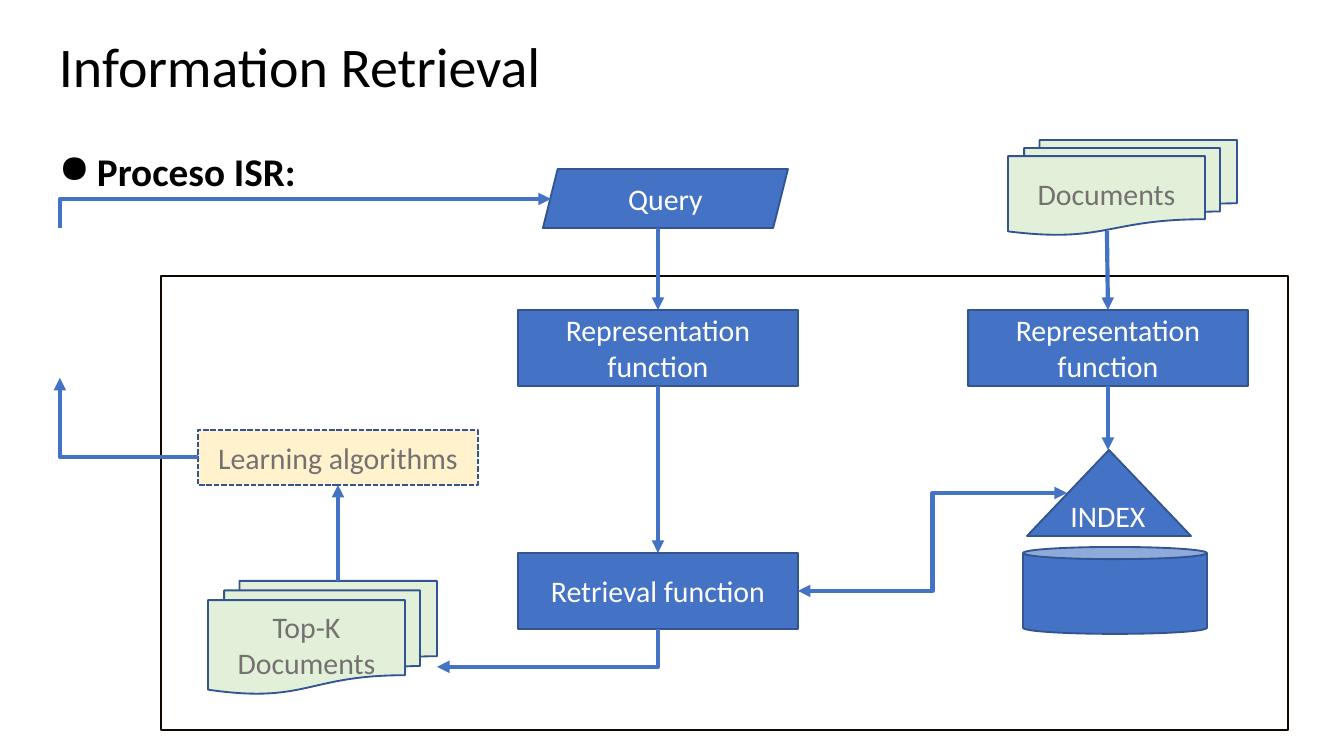
from lxml import etree
from pptx import Presentation
from pptx.dml.color import RGBColor
from pptx.enum.dml import MSO_LINE
from pptx.enum.shapes import MSO_CONNECTOR, MSO_SHAPE
from pptx.enum.text import MSO_ANCHOR, PP_ALIGN
from pptx.oxml.ns import qn
from pptx.util import Pt

PX = 914400 / 134.4
FONT = "Calibri"
BLACK = RGBColor(0x00, 0x00, 0x00)
WHITE = RGBColor(0xFF, 0xFF, 0xFF)
BLUE = RGBColor(0x44, 0x72, 0xC4)
NAVY = RGBColor(0x32, 0x54, 0x91)
GREEN = RGBColor(0xE2, 0xF0, 0xD9)
CREAM = RGBColor(0xFF, 0xF2, 0xCC)
GRAY = RGBColor(0x76, 0x71, 0x71)
FRAME_LINE = RGBColor(0x10, 0x07, 0x00)

RECT = MSO_SHAPE.RECTANGLE
MULTIDOC = MSO_SHAPE.FLOWCHART_MULTIDOCUMENT
STRAIGHT, ELBOW = MSO_CONNECTOR.STRAIGHT, MSO_CONNECTOR.ELBOW
TOP, BOTTOM = 0, 2

TITLE = "Information Retrieval"
SUBTITLE = "Proceso ISR:"

# key: (preset, (left, top, width, height), text, fill, text colour)
NODES = {
    "store": (MSO_SHAPE.CAN, (1023, 547, 184, 87), "", BLUE, WHITE),
    "documents": (MULTIDOC, (1008, 140, 229, 95), "Documents", GREEN, GRAY),
    "index": (MSO_SHAPE.ISOSCELES_TRIANGLE, (1027, 450, 164, 86), "", BLUE, WHITE),
    "top_k": (MULTIDOC, (208, 581, 229, 113), "Top-K\nDocuments", GREEN, GRAY),
    "document_repr": (RECT, (968, 310, 280, 76), "Representation function", BLUE, WHITE),
    "query_repr": (RECT, (518, 310, 280, 76), "Representation function", BLUE, WHITE),
    "retrieval": (RECT, (518, 553, 280, 76), "Retrieval function", BLUE, WHITE),
    "learning": (RECT, (198, 430, 280, 55), "Learning algorithms", CREAM, GRAY),
    "query": (MSO_SHAPE.PARALLELOGRAM, (543, 169, 245, 59), "Query", BLUE, WHITE),
}
INDEX_LABEL = ("INDEX", (1056, 491, 104, 49))
FRAME = (161, 276, 1127, 454)

# Each end is a point or a (node, side) joint
STRAIGHT_ARROWS = [
    (("retrieval", TOP), ("query_repr", BOTTOM)),
    ((1108, 450), ("document_repr", BOTTOM)),
    (("query_repr", TOP), (658, 228)),
    (("learning", BOTTOM), (338, 581)),
    (("document_repr", TOP), (1107, 231)),
]
# begin, end, preset, arrowhead ends; a bentConnector2 runs level first, then upright
ELBOW_ARROWS = [
    ((1067, 493), (798, 591), "bentConnector3", ("headEnd", "tailEnd")),
    ((437, 667), (658, 629), "bentConnector2", ("headEnd",)),
    ((198, 457), (60, 378), "bentConnector2", ("tailEnd",)),
    ((551, 199), (60, 228), "bentConnector2", ("headEnd",)),
]


def px(*values):
    return [round(value * PX) for value in values]


def write(frame, text, size, color, bold=False, align=PP_ALIGN.CENTER):
    frame.text = text
    for paragraph in frame.paragraphs:
        paragraph.alignment = align
        font = paragraph.runs[0].font
        font.name, font.size, font.bold = FONT, Pt(size), bold
        font.color.rgb = color


def add_heading(slide, box, text, size, bold, spacing, anchor):
    frame = slide.shapes.add_textbox(*px(*box)).text_frame
    frame.word_wrap = True
    frame.vertical_anchor = anchor
    inset, = px(13)
    frame.margin_left = frame.margin_right = inset
    frame.margin_top = frame.margin_bottom = inset
    write(frame, text, size, BLACK, bold, PP_ALIGN.LEFT)
    frame.paragraphs[0].line_spacing = spacing
    return frame.paragraphs[0]


def add_bullet(paragraph, indent):
    properties = paragraph._p.get_or_add_pPr()
    properties.set("marL", str(indent))
    properties.set("indent", str(-indent))
    etree.SubElement(properties, qn("a:buChar")).set("char", "●")


def add_node(slide, preset, box, text, fill, color):
    node = slide.shapes.add_shape(preset, *px(*box))
    node.shadow.inherit = False
    node.fill.solid()
    node.fill.fore_color.rgb = fill
    node.line.color.rgb = NAVY
    node.line.width = Pt(1)
    if text:
        node.text_frame.word_wrap = True
        node.text_frame.vertical_anchor = MSO_ANCHOR.MIDDLE
        write(node.text_frame, text, 16, color)
    return node


def add_arrow(slide, kind, begin, end, heads):
    arrow = slide.shapes.add_connector(kind, *px(*begin, *end))
    arrow.line.color.rgb = BLUE
    arrow.line.width = Pt(2.25)
    line = arrow.line._get_or_add_ln()
    for head in heads:
        etree.SubElement(line, qn(f"a:{head}")).set("type", "triangle")
    etree.SubElement(arrow._element.spPr, qn("a:effectLst"))
    return arrow


def end_point(end):
    """Turn a (node, side) joint into the middle of that side."""
    if end[0] not in NODES:
        return end
    left, top, width, height = NODES[end[0]][1]
    return left + width / 2, top + (height if end[1] == BOTTOM else 0)


def main():
    deck = Presentation()
    deck.slide_width, deck.slide_height = px(1344, 756)
    slide = deck.slides.add_slide(deck.slide_layouts[6])

    add_heading(slide, (46, 23, 1253, 93), TITLE, 30, False, 0.9, MSO_ANCHOR.MIDDLE)
    subtitle = add_heading(slide, (46, 125, 1253, 547), SUBTITLE, 21, True, 1.2, MSO_ANCHOR.TOP)
    add_bullet(subtitle, px(38)[0])

    nodes = {key: add_node(slide, *node) for key, node in NODES.items()}
    nodes["store"].adjustments[0] = 0.14
    nodes["learning"].line.dash_style = MSO_LINE.SQUARE_DOT

    text, box = INDEX_LABEL
    label = slide.shapes.add_textbox(*px(*box)).text_frame
    label.word_wrap = False
    write(label, text, 16, WHITE)

    frame = slide.shapes.add_shape(RECT, *px(*FRAME))
    frame.shadow.inherit = False
    frame.fill.background()
    frame.line.color.rgb = FRAME_LINE
    frame.line.width = Pt(1)

    for target, source in STRAIGHT_ARROWS:
        arrow = add_arrow(slide, STRAIGHT, end_point(source), end_point(target), ("tailEnd",))
        if source[0] in nodes:
            arrow.begin_connect(nodes[source[0]], source[1])
        if target[0] in nodes:
            arrow.end_connect(nodes[target[0]], target[1])

    for begin, end, preset, heads in ELBOW_ARROWS:
        arrow = add_arrow(slide, ELBOW, begin, end, heads)
        arrow._element.spPr.find(qn("a:prstGeom")).set("prst", preset)

    deck.save("out.pptx")


if __name__ == "__main__":
    main()
